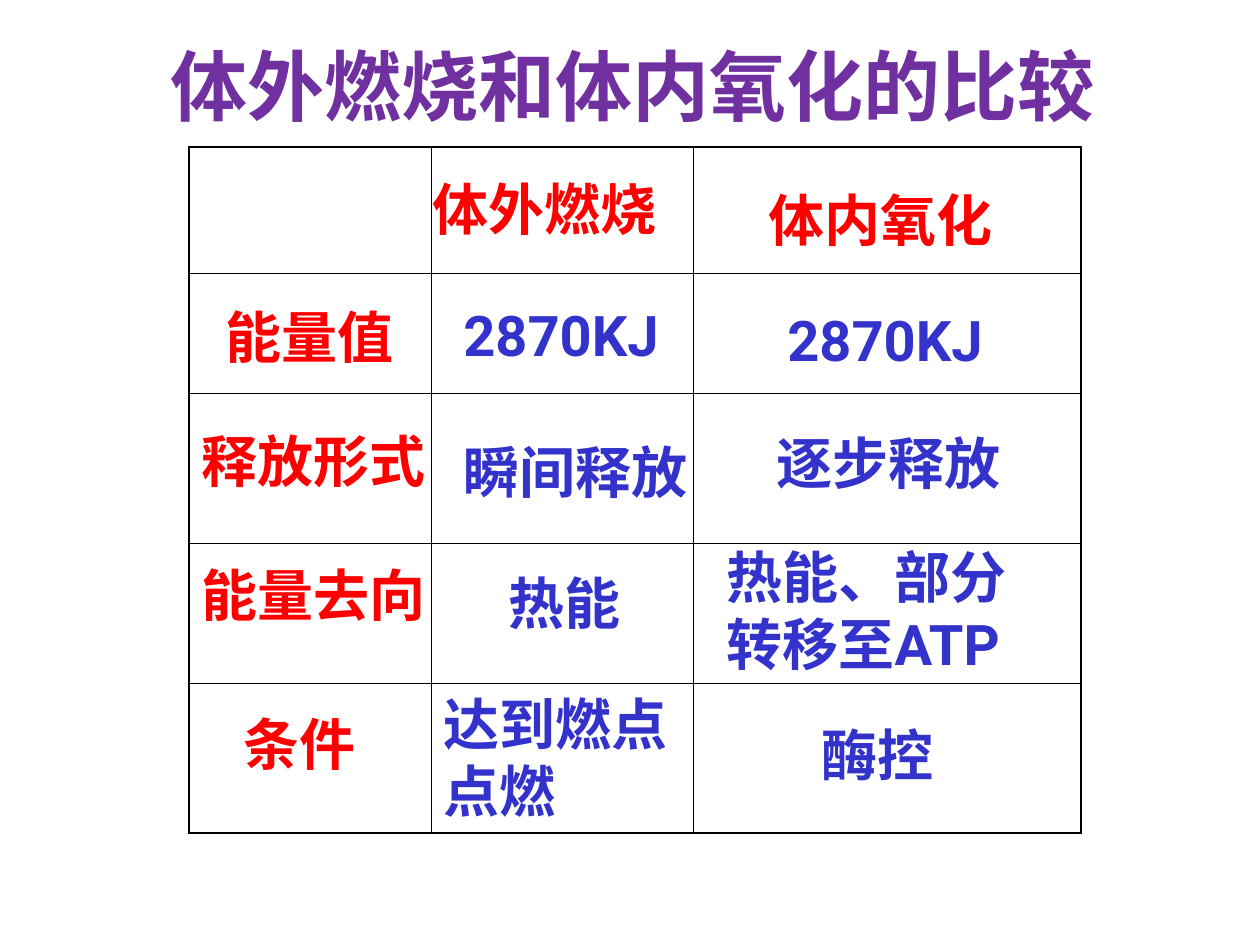
import itertools

import pptx
import pptx.dml.color
import pptx.enum.text
import pptx.oxml
import pptx.oxml.ns
import pptx.util

EMU_PER_PX = 914400 / 126
COLORS = {"title": "7030A0", "heading": "FF0000", "value": "3333CC", "border": "000000"}
FONT = {"name": "Roboto", "bold": True}
FRAME = {"word_wrap": True, "auto_size": pptx.enum.text.MSO_AUTO_SIZE.NONE}
TABLE_STYLE = {"first_row": False, "horz_banding": False}
COLUMNS = [242, 262, 388]
ROWS = [126, 120, 150, 140, 150]
OUTER, INNER = 1.08, 0.45
LINE, TWO_LINES = 81, 147

ENTRIES = [
    (0, 1, "体外燃烧", (-11, 21, 262, LINE)),
    (0, 2, "体内氧化", (63, 32, 262, LINE)),
    (1, 0, "能量值", (24, 23, 199, LINE)),
    (1, 1, "2870KJ", (20, 21, 252, LINE)),
    (1, 2, "2870KJ", (82, 26, 262, LINE)),
    (2, 0, "释放形式", (0, 27, 252, LINE)),
    (2, 1, "瞬间释放", (20, 38, 262, LINE)),
    (2, 2, "逐步释放", (71, 29, 315, LINE)),
    (3, 0, "能量去向", (0, 11, 252, LINE)),
    (3, 1, "热能", (65, 19, 155, LINE)),
    (3, 2, "热能、部分\n转移至ATP", (21, -7, 339, TWO_LINES)),
    (4, 0, "条件", (42, 20, 168, LINE)),
    (4, 1, "达到燃点点燃", (0, 0, 273, TWO_LINES)),
    (4, 2, "酶控", (116, 31, 158, LINE)),
]


def px(length):
    return round(length * EMU_PER_PX)


def apply(target, formats):
    for attribute, value in formats.items():
        setattr(target, attribute, value)


def add_text(slide, box, text, size, color):
    frame = slide.shapes.add_textbox(*map(px, box)).text_frame
    apply(frame, FRAME)
    frame.text = text
    for paragraph in frame.paragraphs:
        for run in paragraph.runs:
            apply(run.font, FONT)
            run.font.size = pptx.util.Pt(size)
            run.font.color.rgb = pptx.dml.color.RGBColor.from_string(COLORS[color])


def set_borders(cell, widths):
    properties = cell._tc.get_or_add_tcPr()
    for side, width in widths.items():
        properties.append(pptx.oxml.parse_xml(
            f'<a:ln{side} {pptx.oxml.ns.nsdecls("a")} w="{pptx.util.Pt(width)}">'
            f'<a:solidFill><a:srgbClr val="{COLORS["border"]}"/></a:solidFill>'
            f'</a:ln{side}>'
        ))


def add_grid(slide, box):
    grid = slide.shapes.add_table(len(ROWS), len(COLUMNS), *map(px, box)).table
    apply(grid, TABLE_STYLE)
    for column, width in zip(grid.columns, COLUMNS):
        column.width = px(width)
    for row, height in zip(grid.rows, ROWS):
        row.height = px(height)
    for r, c in itertools.product(range(len(ROWS)), range(len(COLUMNS))):
        cell = grid.cell(r, c)
        at_edge = {
            "L": c == 0,
            "R": c == len(COLUMNS) - 1,
            "T": r == 0,
            "B": r == len(ROWS) - 1,
        }
        set_borders(cell, {side: OUTER if edge else INNER for side, edge in at_edge.items()})
        cell.fill.background()


def add_comparison(slide, box):
    add_grid(slide, box)
    left, top = box[:2]
    for row, column, text, (dx, dy, width, height) in ENTRIES:
        x = left + sum(COLUMNS[:column]) + dx
        y = top + sum(ROWS[:row]) + dy
        color = "heading" if row == 0 or column == 0 else "value"
        add_text(slide, (x, y, width, height), text, 32, color)


def add_title(slide, box):
    add_text(slide, box, "体外燃烧和体内氧化的比较", 44, "title")


def main():
    presentation = pptx.Presentation()
    apply(presentation, {"slide_width": px(1260), "slide_height": px(945)})
    slide = presentation.slides.add_slide(presentation.slide_layouts[6])
    add_title(slide, (158, 32, 1008, 106))
    add_comparison(slide, (189, 147, sum(COLUMNS), sum(ROWS)))
    presentation.save("out.pptx")


if __name__ == "__main__":
    main()
